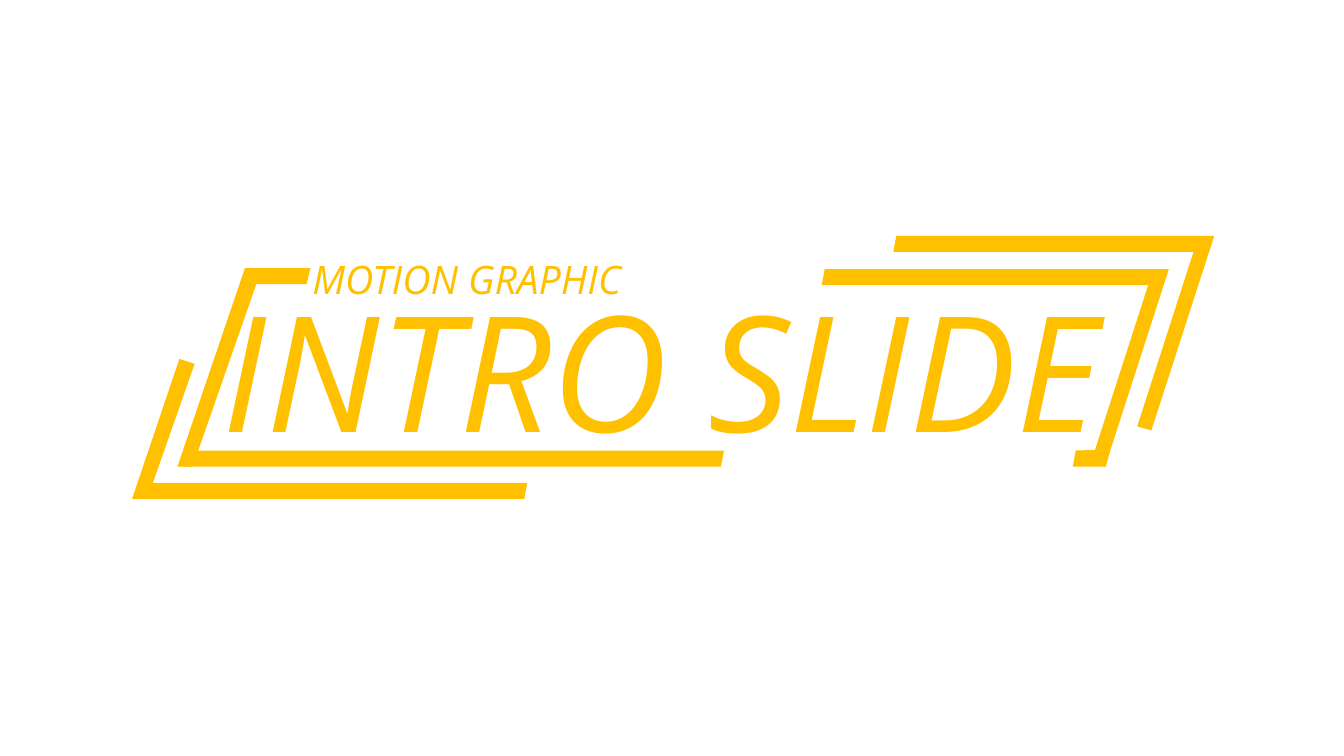
from pptx import Presentation
from pptx.dml.color import RGBColor
from pptx.enum.text import MSO_ANCHOR, MSO_AUTO_SIZE, PP_ALIGN
from pptx.util import Inches, Pt

COLORS = {"accent": "FFC000", "background": "FFFFFF"}
FONT = "Open Sans"
LEFT = PP_ALIGN.LEFT
TOP = MSO_ANCHOR.TOP
FIXED = MSO_AUTO_SIZE.NONE

COLUMNS, ROWS = 1333, 750
CELL = Inches(0.01)  # one column or row of the grid
BAR = 16  # bar thickness in rows
LEAN = 0.34  # columns a left leg shifts per row


def add_text(slide, text, box, *, size, color="accent", italic=True):
    """Place one line of text in a (left, top, width, height) grid box."""
    frame = slide.shapes.add_textbox(*(round(v * CELL) for v in box)).text_frame
    frame.word_wrap = False
    frame.auto_size = FIXED
    frame.vertical_anchor = TOP
    paragraph = frame.paragraphs[0]
    paragraph.alignment = LEFT
    run = paragraph.add_run()
    run.text = text
    run.font.name = FONT
    run.font.size = Pt(size)
    run.font.italic = italic
    run.font.color.rgb = RGBColor.from_string(COLORS[color])


def add_bar(slide, corners, color="accent"):
    """Draw a filled four-sided bar through grid corners."""
    start, *others = corners
    builder = slide.shapes.build_freeform(*start, scale=CELL)
    builder.add_line_segments(others, close=True)
    bar = builder.convert_to_shape()
    bar.fill.solid()
    bar.fill.fore_color.rgb = RGBColor.from_string(COLORS[color])
    bar.line.fill.background()
    bar.shadow.inherit = False


def left_bracket(slide, box, stub=0):
    """Draw a leaning leg, its long base bar and an optional top stub."""
    left, top, width, height = box
    right, bottom = left + width, top + height
    tip = left + LEAN * height
    add_bar(slide, [(left + 7, bottom - BAR), (right, bottom - BAR),
                    (right - 3, bottom), (left + 7, bottom)])
    add_bar(slide, [(left, bottom), (tip, top),
                    (tip + 15, top + 5), (left + 15, bottom)])
    if stub:
        add_bar(slide, [(tip + 1, top), (tip + stub, top),
                        (tip + stub - 4, top + BAR), (tip + 1, top + BAR)])


def right_bracket(slide, box, stub=0):
    """Draw a long top bar, its leaning leg and an optional foot stub."""
    left, top, width, height = box
    right, bottom = left + width, top + height
    foot = right - 62
    add_bar(slide, [(left + 3, top), (right, top),
                    (right - 5, top + BAR), (left, top + BAR)])
    add_bar(slide, [(right, top + 1), (foot, bottom - 3),
                    (foot - 14, bottom - 7), (right - 16, top + 3)])
    if stub:
        add_bar(slide, [(foot - stub + 3, bottom - BAR), (foot + 4, bottom - BAR - 1),
                        (foot, bottom), (foot - stub, bottom)])


def title_block(slide, box):
    """Set the main title with its smaller line above the first word."""
    left, top, width, height = box
    add_text(slide, "INTRO SLIDE", box, size=115)
    add_text(slide, "MOTION GRAPHIC", (left + 89, top - 16, 373, 57), size=28)


def intro_slide(deck):
    """Build the title framed by two pairs of brackets."""
    slide = deck.slides.add_slide(deck.slide_layouts[6])
    slide.background.fill.solid()
    slide.background.fill.fore_color.rgb = RGBColor.from_string(COLORS["background"])
    title_block(slide, (211, 264, 909, 204))
    left_bracket(slide, (176, 266, 542, 197), stub=65)
    right_bracket(slide, (815, 267, 344, 196), stub=33)
    right_bracket(slide, (886, 234, 318, 196))
    left_bracket(slide, (131, 356, 392, 139))


deck = Presentation()
deck.slide_width = COLUMNS * CELL
deck.slide_height = ROWS * CELL
intro_slide(deck)
deck.save("out.pptx")
